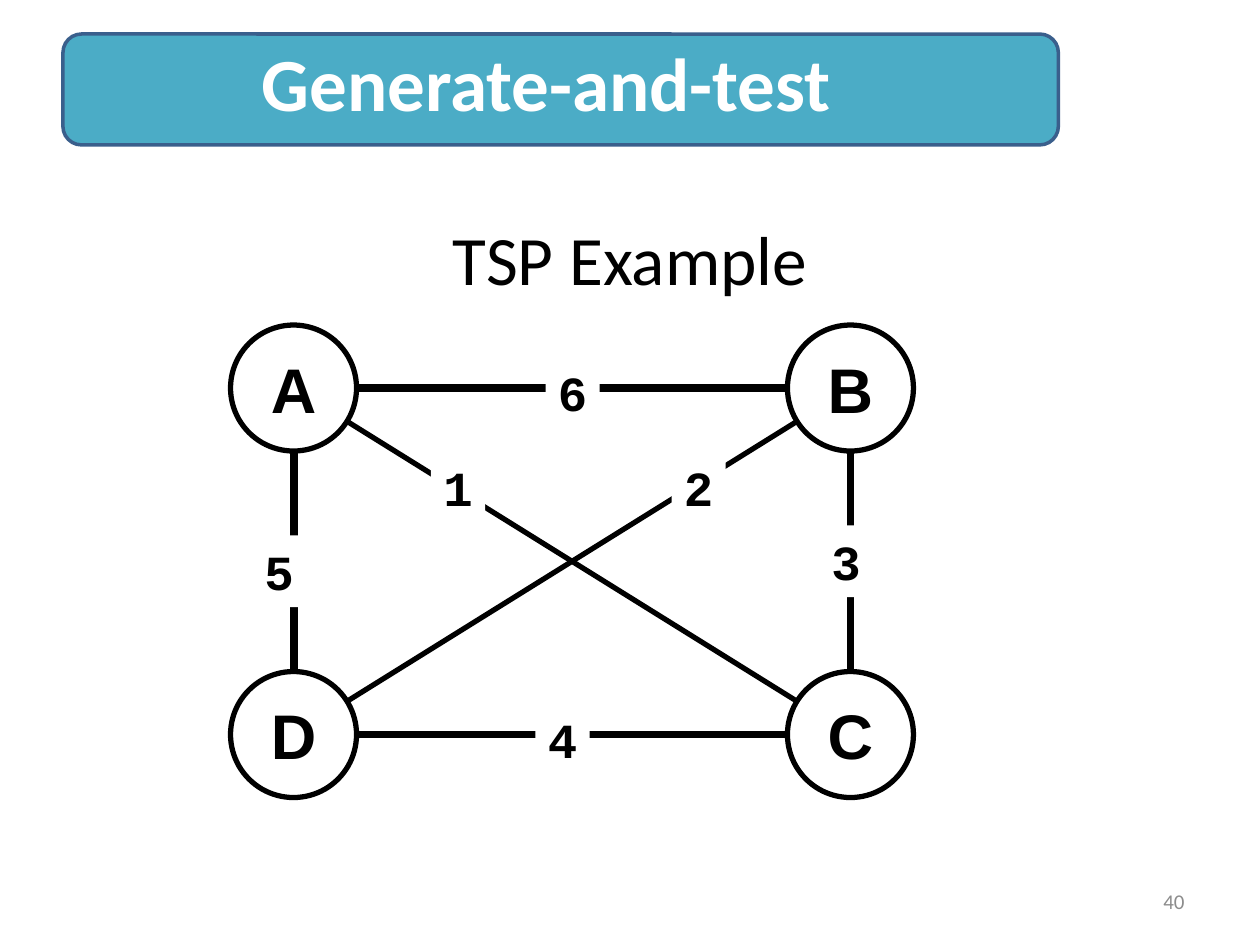
from pptx import Presentation
from pptx.dml.color import RGBColor
from pptx.enum.shapes import MSO_CONNECTOR, MSO_SHAPE
from pptx.enum.text import MSO_ANCHOR, MSO_AUTO_SIZE, PP_ALIGN
from pptx.oxml.ns import qn
from pptx.util import Inches, Pt

COLORS = {"black": "000000", "white": "FFFFFF", "teal": "4BACC6",
          "navy": "3A5F8C", "gray": "8C8C8C"}

# City centres: two columns and two rows
LEFT, RIGHT, TOP, BOTTOM = 2.33, 6.75, 3.08, 5.83
CITIES = {"A": (LEFT, TOP), "B": (RIGHT, TOP),
          "C": (RIGHT, BOTTOM), "D": (LEFT, BOTTOM)}
CITY_SIZE = 1
WEIGHT_SIZE = (0.43, 0.57)
WEIGHTS = {"4": (4.25, 5.58), "6": (4.33, 2.83), "3": (6.5, 4.17),
           "5": (2, 4.25), "1": (3.42, 3.58), "2": (5.33, 3.58)}

CITY_FONT = {"name": "Arial", "size": Pt(36), "bold": True}
WEIGHT_FONT = {"name": "Courier New", "size": Pt(28), "bold": True}
TITLE_FONT = {"name": "Calibri", "size": Pt(39.6), "bold": False}
BANNER_FONT = {"name": "Calibri", "size": Pt(42.9), "bold": True}
NUMBER_FONT = {"name": "Calibri", "size": Pt(12)}


def rgb(name):
    return RGBColor.from_string(COLORS[name])


def set_text(shape, text, font, color="black", align=PP_ALIGN.CENTER,
             anchor=MSO_ANCHOR.MIDDLE, wrap=True, spacing=None):
    tf = shape.text_frame
    tf.auto_size = MSO_AUTO_SIZE.NONE
    tf.word_wrap = wrap
    tf.vertical_anchor = anchor
    p = tf.paragraphs[0]
    p.alignment = align
    p.line_spacing = spacing
    r = p.add_run()
    r.text = text
    for key, value in font.items():
        setattr(r.font, key, value)
    r.font.color.rgb = rgb(color)


def add_box(s, kind, box, fill=None, line=None, width=0):
    sp = s.shapes.add_shape(kind, *map(Inches, box))
    sp.shadow.inherit = False
    if fill:
        sp.fill.solid()
        sp.fill.fore_color.rgb = rgb(fill)
    else:
        sp.fill.background()
    if line:
        sp.line.color.rgb = rgb(line)
        sp.line.width = Pt(width)
    else:
        sp.line.fill.background()
    return sp


def add_label(s, box, text, font, **style):
    set_text(s.shapes.add_textbox(*map(Inches, box)), text, font, **style)


def add_road(s, start, end):
    points = CITIES[start] + CITIES[end]
    cx = s.shapes.add_connector(MSO_CONNECTOR.STRAIGHT, *map(Inches, points))
    cx.line.color.rgb = rgb("black")
    cx.line.width = Pt(3)
    sp_pr = cx._element.spPr
    sp_pr.append(sp_pr.makeelement(qn("a:effectLst"), {}))


def add_city(s, name, x, y):
    half = CITY_SIZE / 2
    sp = add_box(s, MSO_SHAPE.OVAL, (x - half, y - half, CITY_SIZE, CITY_SIZE),
                 "white", "black", 3)
    set_text(sp, name, CITY_FONT, wrap=False)


def add_weight(s, text, x, y):
    sp = add_box(s, MSO_SHAPE.RECTANGLE, (x, y, *WEIGHT_SIZE), "white")
    set_text(sp, text, WEIGHT_FONT, align=PP_ALIGN.LEFT,
             anchor=MSO_ANCHOR.TOP, wrap=False)


def add_title(s, box, text):
    title = s.shapes.title
    title.left, title.top, title.width, title.height = map(Inches, box)
    set_text(title, text, TITLE_FONT)


def main():
    prs = Presentation()
    prs.slide_width, prs.slide_height = Inches(10), Inches(7.5)
    s = prs.slides.add_slide(prs.slide_layouts[5])

    # Title and slide number
    add_title(s, (0.5, 1.67, 9, 0.75), "TSP Example")
    add_label(s, (7.17, 6.95, 2.33, 0.4), "40", NUMBER_FONT,
              color="gray", align=PP_ALIGN.RIGHT)

    # Graph: diagonals, outer roads, cities, then weights on top
    add_road(s, "A", "C")
    add_road(s, "B", "D")
    add_box(s, MSO_SHAPE.RECTANGLE, (LEFT, TOP, RIGHT - LEFT, BOTTOM - TOP),
            line="black", width=4.5)
    for name, centre in CITIES.items():
        add_city(s, name, *centre)
    for text, corner in WEIGHTS.items():
        add_weight(s, text, *corner)

    # Banner
    add_box(s, MSO_SHAPE.ROUNDED_RECTANGLE, (0.5, 0.27, 7.9, 0.88),
            "teal", "navy", 2)
    add_label(s, (0.5, 0.3, 7.67, 0.78), "Generate-and-test", BANNER_FONT,
              color="white", spacing=0.9)

    prs.save("out.pptx")


if __name__ == "__main__":
    main()
